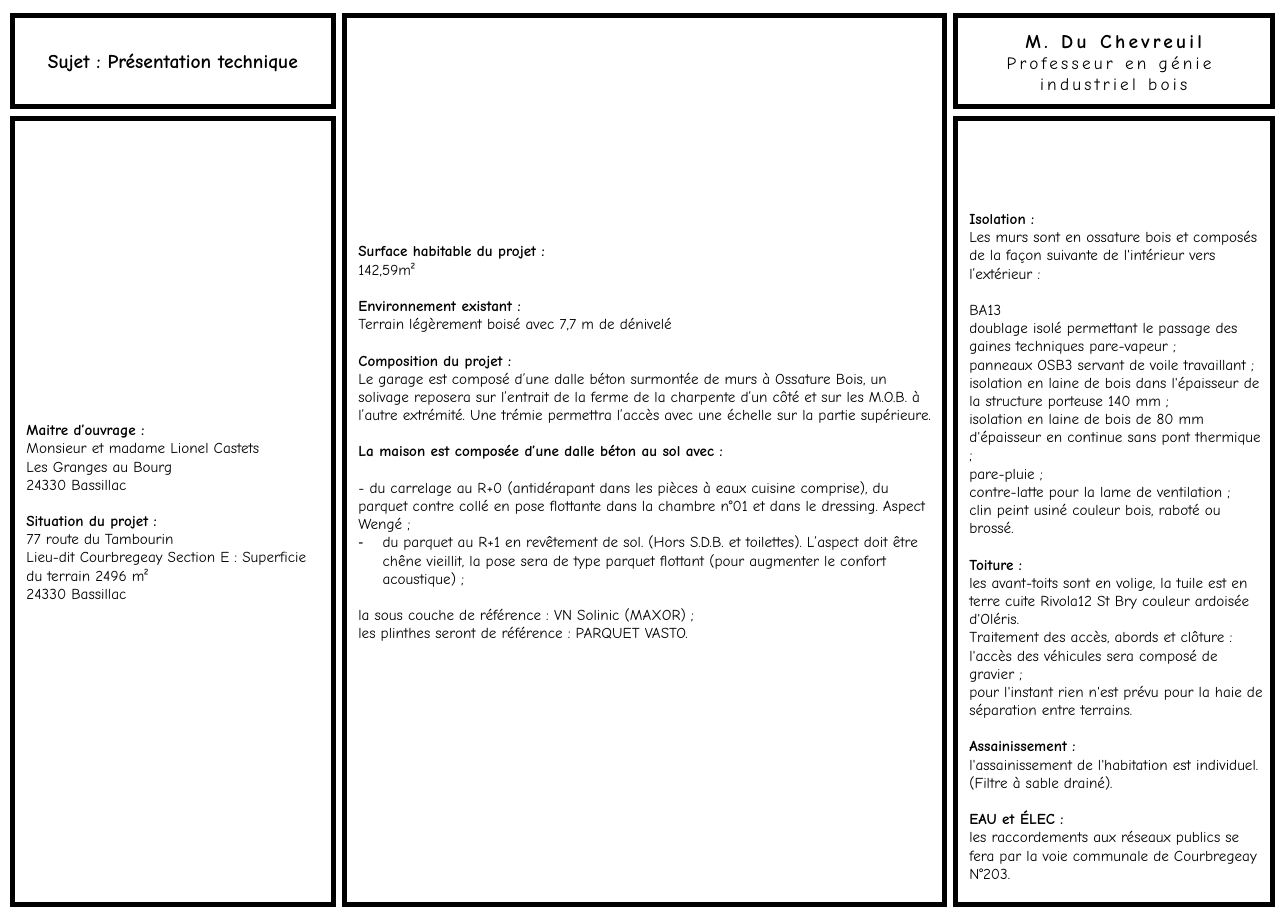
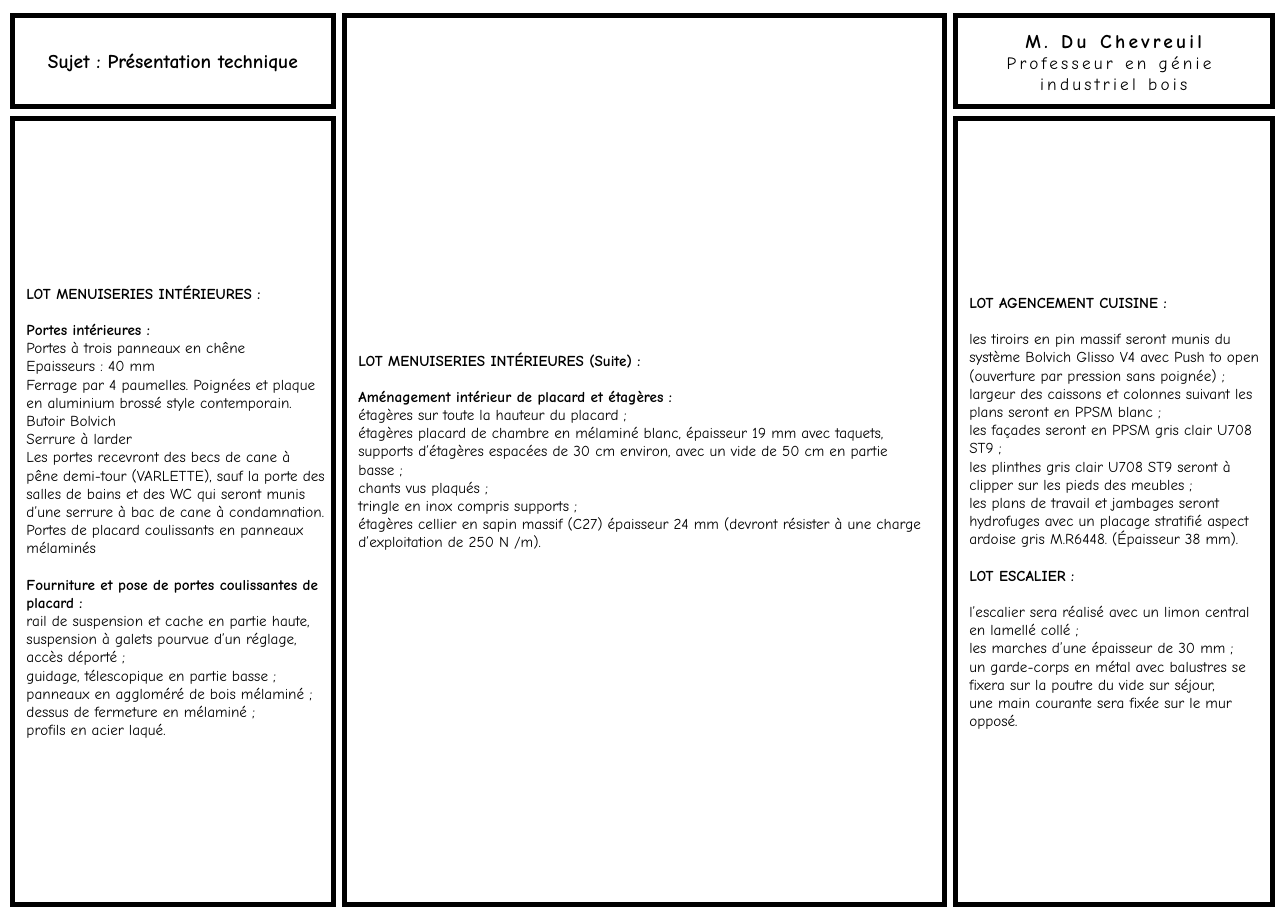
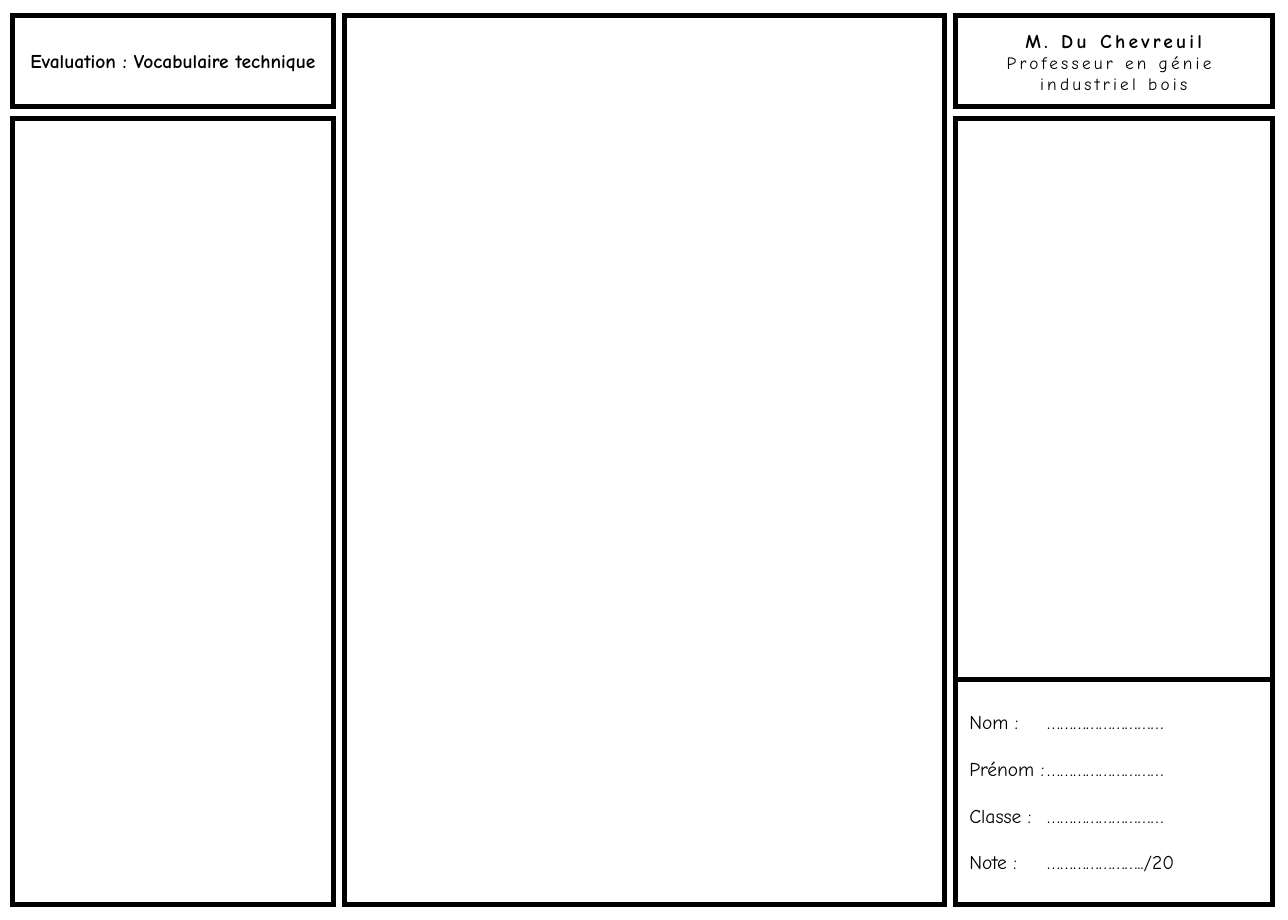
from pptx import Presentation
from pptx.dml.color import RGBColor
from pptx.enum.shapes import MSO_SHAPE
from pptx.enum.text import MSO_ANCHOR, MSO_AUTO_SIZE, PP_ALIGN
from pptx.oxml.ns import qn
from pptx.util import Inches, Pt
from lxml.etree import SubElement

HUES = {"ink": "000000", "paper": "FFFFFF"}
FONT = "Comic Neue"
LEAD = 1.2
LINE = 14 * LEAD / 72
PAD = 0.18
HANG = 0.31
TAB = 1.5

WIDE, HIGH = 16.53, 11.81
TOP = 0.2
HEAD = 1.17
BODY = 1.52
FOOT = 11.61
FORM = 8.72
COLS = {"left": (0.16, 4.12), "mid": (4.42, 7.7), "right": (12.26, 4.07)}


def cell(col, top, end):
    left, width = COLS[col]
    return left, top, width, end - top


FRAMES = {
    "title": cell("left", TOP, TOP + HEAD),
    "prof": cell("right", TOP, TOP + HEAD),
    "left": cell("left", BODY, FOOT),
    "mid": cell("mid", TOP, FOOT),
    "right": cell("right", BODY, FOOT),
    "form": cell("right", FORM, FOOT),
}
SLOTS = {"title": 0, "prof": 1, "left": 2, "mid": 3, "right": 4}

PROF = [("M. Du Chevreuil", 18, True),
        ("Professeur en génie ", 16, False),
        ("industriel bois", 16, False)]

FIELDS = [("Nom :", "………………………"), ("Prénom :", "………………………"),
          ("Classe :", "………………………"), ("Note :", "…………………../20")]

SLIDES = [
    {
        "title": "Sujet : Présentation technique",
        "left": [
            ("Maitre d’ouvrage :", [
                "Monsieur et madame Lionel Castets",
                "Les Granges au Bourg",
                "24330 Bassillac"]),
            ("Situation du projet :", [
                "77 route du Tambourin",
                "Lieu-dit Courbregeay Section E : Superficie du terrain 2496 m²",
                "24330 Bassillac"]),
        ],
        "mid": [
            ("Surface habitable du projet :", ["142,59m²"]),
            ("Environnement existant :", [
                "Terrain légèrement boisé avec 7,7 m de dénivelé"]),
            ("Composition du projet :", [
                "Le garage est composé d’une dalle béton surmontée de murs à "
                "Ossature Bois, un solivage reposera sur l’entrait de la ferme "
                "de la charpente d’un côté et sur les M.O.B. à l’autre "
                "extrémité. Une trémie permettra l’accès avec une échelle sur "
                "la partie supérieure."]),
            ("La maison est composée d’une dalle béton au sol avec :", []),
            (None, [
                "- du carrelage au R+0 (antidérapant dans les pièces à eaux "
                "cuisine comprise), du parquet contre collé en pose flottante "
                "dans la chambre n°01 et dans le dressing. Aspect Wengé ;",
                ("-", "du parquet au R+1 en revêtement de sol. (Hors S.D.B. et "
                 "toilettes). L’aspect doit être chêne vieillit, la pose sera "
                 "de type parquet flottant (pour augmenter le confort "
                 "acoustique) ;")]),
            (None, [
                "la sous couche de référence : VN Solinic (MAXOR) ;",
                "les plinthes seront de référence : PARQUET VASTO."]),
        ],
        "right": [
            ("Isolation :", [
                "Les murs sont en ossature bois et composés de la façon "
                "suivante de l'intérieur vers l’extérieur :"]),
            (None, [
                "BA13",
                "doublage isolé permettant le passage des gaines techniques "
                "pare-vapeur ;",
                "panneaux OSB3 servant de voile travaillant ;",
                "isolation en laine de bois dans l'épaisseur de la structure "
                "porteuse 140 mm ;",
                "isolation en laine de bois de 80 mm d'épaisseur en continue "
                "sans pont thermique ;",
                "pare-pluie ;",
                "contre-latte pour la lame de ventilation ;",
                "clin peint usiné couleur bois, raboté ou brossé."]),
            ("Toiture :", [
                "les avant-toits sont en volige, la tuile est en terre cuite "
                "Rivola12 St Bry couleur ardoisée d'Oléris.",
                "Traitement des accès, abords et clôture :",
                "l'accès des véhicules sera composé de gravier ;",
                "pour l'instant rien n'est prévu pour la haie de séparation "
                "entre terrains."]),
            ("Assainissement :", [
                "l'assainissement de l'habitation est individuel. (Filtre à "
                "sable drainé)."]),
            ("EAU et ÉLEC :", [
                "les raccordements aux réseaux publics se fera par la voie "
                "communale de Courbregeay N°203."]),
        ],
        "lift": {"mid": 2, "right": 1},
        "low": ["right"],
    },
    {
        "title": "Sujet : Présentation technique",
        "left": [
            ("LOT MENUISERIES INTÉRIEURES :", []),
            ("Portes intérieures :", [
                "Portes à trois panneaux en chêne",
                "Epaisseurs : 40 mm",
                "Ferrage par 4 paumelles. Poignées et plaque en aluminium "
                "brossé style contemporain.",
                "Butoir Bolvich",
                "Serrure à larder",
                "Les portes recevront des becs de cane à pêne demi-tour "
                "(VARLETTE), sauf la porte des salles de bains et des WC qui "
                "seront munis d’une serrure à bac de cane à condamnation.",
                "Portes de placard coulissants en panneaux mélaminés"]),
            ("Fourniture et pose de portes coulissantes de placard :", [
                "rail de suspension et cache en partie haute, suspension à "
                "galets pourvue d’un réglage, accès déporté ;",
                "guidage, télescopique en partie basse ;",
                "panneaux en aggloméré de bois mélaminé ;",
                "dessus de fermeture en mélaminé ;",
                "profils en acier laqué."]),
        ],
        "mid": [
            ("LOT MENUISERIES INTÉRIEURES (Suite) :", []),
            ("Aménagement intérieur de placard et étagères :", [
                "étagères sur toute la hauteur du placard ;",
                "étagères placard de chambre en mélaminé blanc, épaisseur 19 mm "
                "avec taquets, supports d’étagères espacées de 30 cm environ, "
                "avec un vide de 50 cm en partie basse ;",
                "chants vus plaqués ;",
                "tringle en inox compris supports ;",
                "étagères cellier en sapin massif (C27) épaisseur 24 mm "
                "(devront résister à une charge d’exploitation de 250 N /m)."]),
        ],
        "right": [
            ("LOT AGENCEMENT CUISINE :", []),
            (None, [
                "les tiroirs en pin massif seront munis du système Bolvich "
                "Glisso V4 avec Push to open (ouverture par pression sans "
                "poignée) ;",
                "largeur des caissons et colonnes suivant les plans seront en "
                "PPSM blanc ;",
                "les façades seront en PPSM gris clair U708 ST9 ;",
                "les plinthes gris clair U708 ST9 seront à clipper sur les "
                "pieds des meubles ;",
                "les plans de travail et jambages seront hydrofuges avec un "
                "placage stratifié aspect ardoise gris M.R6448. (Épaisseur "
                "38 mm)."]),
            ("LOT ESCALIER :", []),
            (None, [
                "l’escalier sera réalisé avec un limon central en lamellé "
                "collé ;",
                "les marches d’une épaisseur de 30 mm ;",
                "un garde-corps en métal avec balustres se fixera sur la "
                "poutre du vide sur séjour,",
                "une main courante sera fixée sur le mur opposé."]),
        ],
        "lift": {"mid": 1},
    },
    {"title": "Evaluation : Vocabulaire technique", "form": FIELDS},
]


def hue(name):
    return RGBColor.from_string(HUES[name])


def frame(slide, name, full=True):
    spot = [Inches(v) for v in FRAMES[name]]
    if name in SLOTS and full:
        box = slide.placeholders[SLOTS[name]]
        box.left, box.top, box.width, box.height = spot
    else:
        box = slide.shapes.add_shape(MSO_SHAPE.RECTANGLE, *spot)
        if name in SLOTS:
            drop = slide.placeholders[SLOTS[name]].element
            drop.getparent().remove(drop)
    box.shadow.inherit = False
    box.fill.solid()
    box.fill.fore_color.rgb = hue("paper")
    box.line.color.rgb = hue("ink")
    box.line.width = Pt(4.5)
    edge = box.element.spPr.find(qn("a:ln"))
    SubElement(edge, qn("a:miter")).set("lim", "800000")
    text = box.text_frame
    text.word_wrap = True
    text.auto_size = MSO_AUTO_SIZE.NONE
    text.vertical_anchor = MSO_ANCHOR.MIDDLE
    text.margin_left = text.margin_right = Inches(0.1)
    text.margin_top = text.margin_bottom = Inches(0.05)
    return text


def write(text, words, size=14, bold=False, gap=0, mark=None, tab=None,
          align=PP_ALIGN.LEFT, space=None):
    para = text.paragraphs[0]
    if para.runs:
        para = text.add_paragraph()
    para.alignment = align
    para.space_before = Pt(gap)
    para.space_after = Pt(0)
    props = para._p.get_or_add_pPr()
    hang = Inches(HANG) if mark else 0
    props.set("marL", str(hang))
    props.set("indent", str(-hang))
    if mark:
        SubElement(props, qn("a:buChar")).set("char", mark)
    else:
        SubElement(props, qn("a:buNone"))
    if tab:
        stop = SubElement(SubElement(props, qn("a:tabLst")), qn("a:tab"))
        stop.set("pos", str(Inches(tab)))
        stop.set("algn", "l")
    run = para.add_run()
    run.text = words
    font = run.font
    font.name, font.size, font.bold = FONT, Pt(size), bold
    font.color.rgb = hue("ink")
    if space:
        run._r.get_or_add_rPr().set("spc", str(space * 100))


def column(text, parts):
    text.margin_left = Inches(PAD)
    for num, (head, lines) in enumerate(parts):
        rows = [(head, True)] if head else []
        rows += [(line, False) for line in lines]
        for row, (line, bold) in enumerate(rows):
            mark, words = line if isinstance(line, tuple) else (None, line)
            gap = 14 * LEAD if num and not row else 0
            write(text, words, bold=bold, gap=gap, mark=mark)


def build(deck, data):
    slide = deck.slides.add_slide(deck.slide_layouts[4])
    for name in ("mid", "left", "right"):
        text = frame(slide, name, name in data)
        if name in data:
            column(text, data[name])
            lift = data.get("lift", {}).get(name, 0)
            text.margin_bottom = Inches(0.05 + lift * LINE)
            if name in data.get("low", []):
                text.vertical_anchor = MSO_ANCHOR.BOTTOM
    text = frame(slide, "prof")
    for words, size, bold in PROF:
        write(text, words, size, bold, align=PP_ALIGN.CENTER, space=3)
    write(frame(slide, "title"), data["title"], 18, True,
          align=PP_ALIGN.CENTER)
    if "form" in data:
        text = frame(slide, "form")
        text.margin_left = Inches(PAD)
        for num, (label, dots) in enumerate(data["form"]):
            write(text, f"{label}\t{dots}", 18, gap=18 * LEAD if num else 0,
                  tab=TAB)


def main():
    deck = Presentation()
    deck.slide_width, deck.slide_height = Inches(WIDE), Inches(HIGH)
    for data in SLIDES:
        build(deck, data)
    deck.save("out.pptx")


if __name__ == "__main__":
    main()
